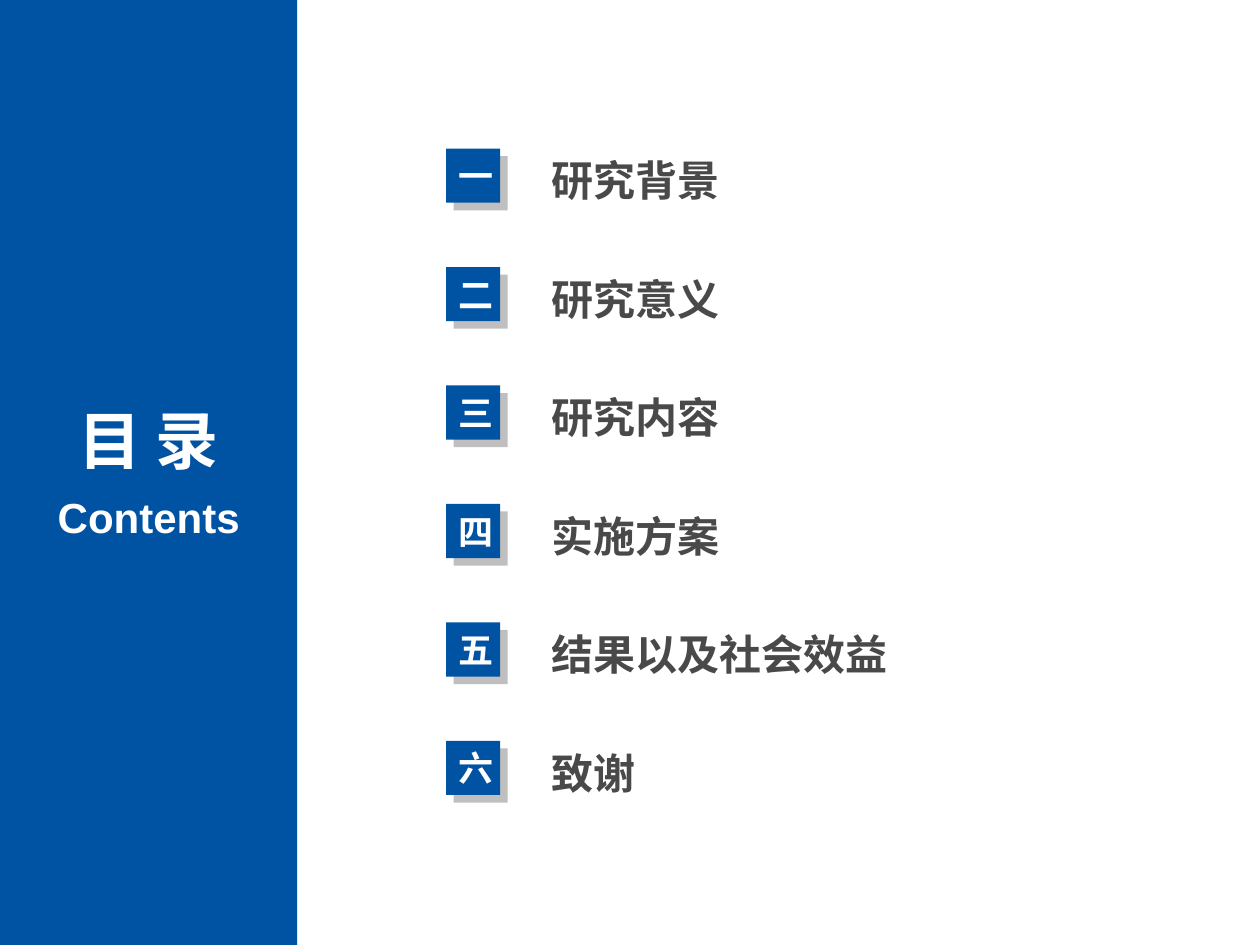
from lxml import etree
from pptx import Presentation
from pptx.dml.color import RGBColor
from pptx.enum.shapes import MSO_SHAPE
from pptx.enum.text import MSO_ANCHOR, MSO_AUTO_SIZE, PP_ALIGN
from pptx.oxml.ns import qn
from pptx.util import Inches, Pt

RECTANGLE = MSO_SHAPE.RECTANGLE
MIDDLE = MSO_ANCHOR.MIDDLE
FIT_SHAPE = MSO_AUTO_SIZE.SHAPE_TO_FIT_TEXT
LEFT = PP_ALIGN.LEFT
CENTER = PP_ALIGN.CENTER

LATIN_FONT = "Arial"
CHINESE_FONT = "Noto Sans CJK SC"
BLUE = "0053A3"
WHITE = "FFFFFF"
BLACK = "000000"
DARK = "0D0D0D"

SECTIONS = [
    ("一", "研究背景"),
    ("二", "研究意义"),
    ("三", "研究内容"),
    ("四", "实施方案"),
    ("五", "结果以及社会效益"),
    ("六", "致谢"),
]
FIRST_TOP = 1.18
ROW_PITCH = 0.94
BADGE_LEFT = 3.54
BADGE_SIZE = 0.43
SHADOW_OFFSET = 0.06
LABEL_LEFT = 4.28


def set_color(fill, color, opacity=100):
    fill.solid()
    fill.fore_color.rgb = RGBColor.from_string(color)
    if opacity < 100:
        color_element = fill._xPr.find(qn("a:solidFill"))[0]
        alpha = etree.SubElement(color_element, qn("a:alpha"))
        alpha.set("val", str(opacity * 1000))


def add_text(frame, text, size, font, color, alignment, opacity=100):
    paragraph = frame.paragraphs[0]
    paragraph.alignment = alignment
    run = paragraph.add_run()
    run.text = text
    run.font.size = Pt(size)
    run.font.bold = True
    set_color(run.font.fill, color, opacity)
    run.font.name = font
    east_asian = etree.SubElement(run.font._element, qn("a:ea"))
    east_asian.set("typeface", CHINESE_FONT)


def add_rectangle(shapes, left, top, width, height, color, opacity=100):
    shape = shapes.add_shape(
        RECTANGLE, Inches(left), Inches(top), Inches(width), Inches(height)
    )
    shape.shadow.inherit = False
    shape.line.fill.background()
    set_color(shape.fill, color, opacity)
    return shape


def add_text_box(shapes, left, top, width, height, *text_style):
    box = shapes.add_textbox(
        Inches(left), Inches(top), Inches(width), Inches(height)
    )
    frame = box.text_frame
    frame.word_wrap = True
    frame.auto_size = FIT_SHAPE
    add_text(frame, *text_style)


def add_badge(slide, top, numeral):
    shapes = slide.shapes.add_group_shape().shapes
    add_rectangle(
        shapes, BADGE_LEFT + SHADOW_OFFSET, top + SHADOW_OFFSET,
        BADGE_SIZE, BADGE_SIZE, BLACK, 25,
    )
    badge = add_rectangle(
        shapes, BADGE_LEFT, top, BADGE_SIZE, BADGE_SIZE, BLUE
    )
    badge.text_frame.vertical_anchor = MIDDLE
    add_text(badge.text_frame, numeral, 20, CHINESE_FONT, WHITE, CENTER)


def add_sidebar(slide):
    add_rectangle(slide.shapes, 0, 0, 2.36, 7.5, BLUE)
    shapes = slide.shapes.add_group_shape().shapes
    add_text_box(shapes, 0.12, 3.14, 2.12, 0.71,
                 "目 录", 36, LATIN_FONT, WHITE, CENTER)
    add_text_box(shapes, 0.12, 3.85, 2.12, 0.5,
                 "Contents", 24, LATIN_FONT, WHITE, CENTER)


def add_section(slide, top, numeral, title):
    add_badge(slide, top, numeral)
    add_text_box(slide.shapes, LABEL_LEFT, top, 5.2, 0.5,
                 title, 24, CHINESE_FONT, DARK, LEFT, 75)


def main():
    presentation = Presentation()
    presentation.slide_width = Inches(10)
    presentation.slide_height = Inches(7.5)
    slide = presentation.slides.add_slide(presentation.slide_layouts[6])
    add_sidebar(slide)
    for index, (numeral, title) in enumerate(SECTIONS):
        add_section(slide, FIRST_TOP + index * ROW_PITCH, numeral, title)
    presentation.save("out.pptx")


if __name__ == "__main__":
    main()
